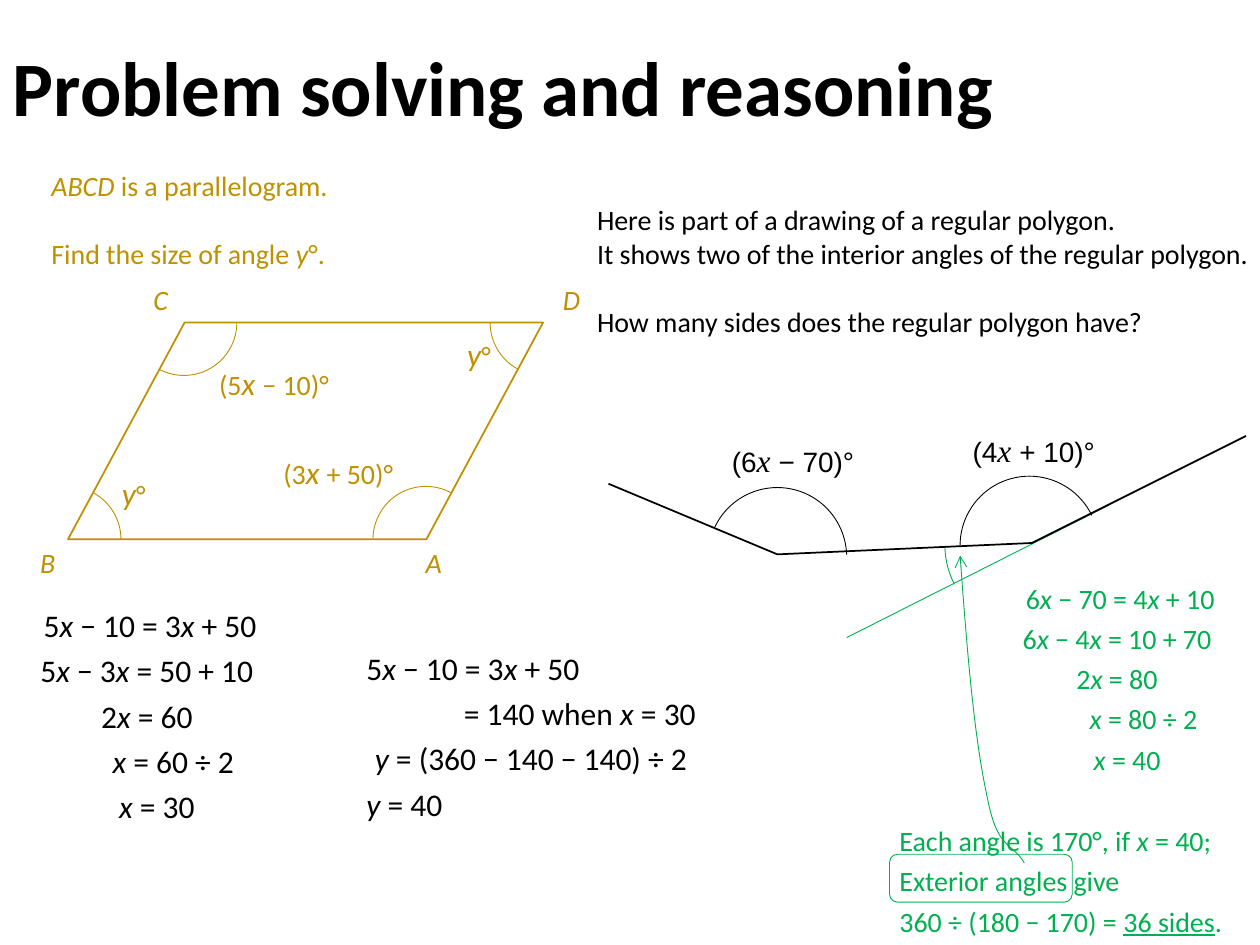
from lxml.etree import SubElement
from pptx import Presentation
from pptx.dml.color import RGBColor
from pptx.enum.shapes import MSO_CONNECTOR as Connector, MSO_SHAPE as Shape
from pptx.enum.text import MSO_ANCHOR as Anchor, MSO_AUTO_SIZE as AutoSize, PP_ALIGN as Align
from pptx.oxml.ns import qn
from pptx.util import Inches, Pt

GOLD = RGBColor(0xBF, 0x90, 0x00)
GREEN = RGBColor(0x00, 0xB0, 0x50)
BLACK = RGBColor(0x00, 0x00, 0x00)

LARGE = {"size": Pt(18)}
SERIF = {"size": Pt(18), "name": "Times New Roman"}
GAP = {"space_before": Pt(19.5)}
LOOSE = {"line_spacing": 1.2}


def apply(target, values):
    for name, value in values.items():
        setattr(target, name, value)


class Sheet:
    def __init__(self, page, font="Calibri"):
        self.page = page
        self.font = font
        self.shapes = page.shapes

    def start_group(self):
        self.shapes = self.page.shapes.add_group_shape().shapes

    def end_group(self):
        self.shapes = self.page.shapes

    def title(self, at, words):
        box = self.page.shapes.title
        apply(box, dict(zip(("left", "top", "width", "height"), map(Inches, at))))
        frame = box.text_frame
        apply(frame, {"vertical_anchor": Anchor.MIDDLE, "auto_size": AutoSize.NONE, "text": words})
        para = frame.paragraphs[0]
        apply(para, {"alignment": Align.LEFT, "line_spacing": 0.9})
        apply(para.font, {"name": self.font, "size": Pt(44), "bold": True})
        para.font.color.rgb = BLACK

    def text(self, at, lines, color, size=16, wrap=False, font=None, italics=None):
        frame = self.shapes.add_textbox(*map(Inches, at)).text_frame
        apply(frame, {"word_wrap": wrap, "auto_size": AutoSize.SHAPE_TO_FIT_TEXT})
        for index, (words, layout) in enumerate(lines):
            para = frame.add_paragraph() if index else frame.paragraphs[0]
            layout = dict(layout)
            indent = layout.pop("indent", 0)
            if indent:
                para._p.get_or_add_pPr().set("marL", str(Inches(indent)))
            apply(para, layout)
            self.spans(para, words, {"name": font or self.font, "size": Pt(size)}, italics or {}, color)

    def spans(self, para, words, style, italics, color):
        for part_index, part in enumerate(words.split("_")):
            for index, piece in enumerate(part.split("*")):
                if not piece:
                    continue
                span = para.add_run()
                span.text = piece
                apply(span.font, style)
                if index % 2:
                    apply(span.font, {**italics, "italic": True})
                if part_index % 2:
                    span.font.underline = True
                span.font.color.rgb = color

    def outline(self, shape, color, weight):
        shape.shadow.inherit = False
        shape.fill.background()
        shape.line.color.rgb = color
        shape.line.width = Pt(weight)
        return shape

    def shape(self, kind, at, color, weight=0.5):
        return self.outline(self.shapes.add_shape(kind, *map(Inches, at)), color, weight)

    def arc(self, center, radius, start, end, color, rotation=0):
        x, y = center
        arc = self.shape(Shape.ARC, (x - radius, y - radius, 2 * radius, 2 * radius), color)
        arc.adjustments[0] = start * 0.6
        arc.adjustments[1] = end * 0.6
        arc.rotation = rotation

    def line(self, start, end, color, weight=0.5):
        line = self.shapes.add_connector(Connector.STRAIGHT, *map(Inches, start + end))
        line.line.color.rgb = color
        line.line.width = Pt(weight)
        SubElement(line._element.spPr, qn("a:effectLst"))

    def polyline(self, points, color, weight):
        start, *rest = [tuple(map(Inches, point)) for point in points]
        builder = self.shapes.build_freeform(*start)
        builder.add_line_segments(rest, close=False)
        return self.outline(builder.convert_to_shape(), color, weight)

    def curved_arrow(self, points, color, weight=0.5):
        curve = self.polyline(points, color, weight)
        steps = list(curve._element.iter(qn("a:lnTo")))
        track = steps[0].getparent()
        for first in range(0, len(steps), 3):
            bend = SubElement(track, qn("a:cubicBezTo"))
            for step in steps[first:first + 3]:
                bend.append(step[0])
                track.remove(step)
        outline = curve._element.spPr.find(qn("a:ln"))
        SubElement(outline, qn("a:tailEnd"), type="arrow")


def centred_steps(lines):
    indents = (0.05, 0, 0, 0.42, 0.16)
    return [(words, {**LOOSE, "alignment": Align.CENTER, "indent": indent})
            for words, indent in zip(lines, indents)]


def draw_parallelogram(sheet):
    sheet.text((0.31, 1.29, 2.42, 0.94), [
        ("*ABCD* is a parallelogram.", {}),
        ("Find the size of angle *y*°.", GAP),
    ], GOLD, italics={})
    sheet.start_group()
    body = sheet.shape(Shape.PARALLELOGRAM, (0.54, 2.56, 3.77, 1.72), GOLD, 1)
    body.adjustments[0] = 0.538
    sharp, blunt = (118.65, 179.89), (0.94, 118.15)
    for center, angles, rotation in (
        ((4.31, 2.56), sharp, 0),
        ((0.54, 4.28), sharp, 180),
        ((3.38, 4.28), blunt, 180),
        ((1.46, 2.56), blunt, 0),
    ):
        sheet.arc(center, 0.42, *angles, GOLD, rotation)
    for left, top, width, words in (
        (2.15, 3.55, 1.1, "(3*x *+ 50)°"),
        (1.64, 2.84, 1.1, "(5*x *− 10)°"),
        (0.87, 3.71, 0.4, "*y*°"),
        (3.61, 2.61, 0.4, "*y*°"),
    ):
        sheet.text((left, top, width, 0.4), [(words, {})], GOLD, italics=LARGE)
    for left, top, corner in ((1.12, 2.19, "C"), (4.37, 2.19, "D"), (3.28, 4.28, "A"), (0.22, 4.28, "B")):
        sheet.text((left, top, 0.33, 0.37), [(f"*{corner}*", {})], GOLD)
    sheet.end_group()
    sheet.text((0.12, 4.7, 2.09, 1.89), centred_steps((
        "5*x* − 10 = 3*x* + 50", "5*x* − 3*x* = 50 + 10", "2*x* = 60", "*x* = 60 ÷ 2", "*x* = 30",
    )), BLACK, size=18, wrap=True)
    sheet.text((2.81, 5.04, 2.81, 1.56), [
        ("5*x* − 10 = 3*x* + 50", LOOSE),
        ("= 140 when *x* = 30", {**LOOSE, "alignment": Align.RIGHT}),
        ("*y* = (360 − 140 − 140) ÷ 2", {**LOOSE, "alignment": Align.CENTER}),
        ("*y *= 40", LOOSE),
    ], BLACK, size=18, wrap=True)


def draw_polygon(sheet):
    sheet.line((8.8, 4.01), (6.72, 5.06), GREEN)
    sheet.text((4.64, 1.56, 5.44, 1.18), [
        ("Here is part of a drawing of a regular polygon.", {}),
        ("It shows two of the interior angles of the regular polygon.", {}),
        ("How many sides does the regular polygon have?", GAP),
    ], BLACK)
    steps = centred_steps((
        "6*x* − 70 = 4*x* + 10", "6*x* − 4*x* = 10 + 70", "2*x* = 80", "*x* = 80 ÷ 2", "*x* = 40",
    ))
    sheet.text((7.04, 4.51, 3.65, 2.99), steps + [
        ("Each angle is 170°, if *x* = 40;", {**LOOSE, "space_before": Pt(23.4)}),
        ("Exterior angles give", LOOSE),
        ("360 ÷ (180 − 170) = _36 sides_.", LOOSE),
    ], GREEN, wrap=True)
    sheet.arc((6.17, 4.42), 0.55, 205.54, 358.17, BLACK)
    sheet.arc((8.17, 4.33), 0.55, 180.21, 334.24, BLACK)
    for left, top, words in ((5.71, 3.45, "(6*x *− 70)°"), (7.62, 3.37, "(4*x *+ 10)°")):
        sheet.text((left, top, 1.19, 0.4), [(words, {})], BLACK, font="Arial", italics=SERIF)
    sheet.arc((8.17, 4.33), 0.67, 152.65, 178.88, GREEN)
    sheet.polyline([(4.83, 3.84), (6.17, 4.4), (8.19, 4.31), (9.89, 3.46)], BLACK, 1)
    sheet.curved_arrow([
        (8.13, 6.85), (8.03, 6.68), (7.92, 6.75), (7.84, 6.35),
        (7.75, 5.94), (7.69, 5.39), (7.62, 4.41),
    ], GREEN)
    sheet.shape(Shape.ROUNDED_RECTANGLE, (7.06, 6.78, 1.45, 0.38), GREEN)


def main():
    deck = Presentation()
    apply(deck, {"slide_width": Inches(10), "slide_height": Inches(7.5)})
    sheet = Sheet(deck.slides.add_slide(deck.slide_layouts[5]))
    sheet.title((0, 0, 8.62, 1.45), "Problem solving and reasoning")
    draw_parallelogram(sheet)
    draw_polygon(sheet)
    deck.save("out.pptx")


if __name__ == "__main__":
    main()
